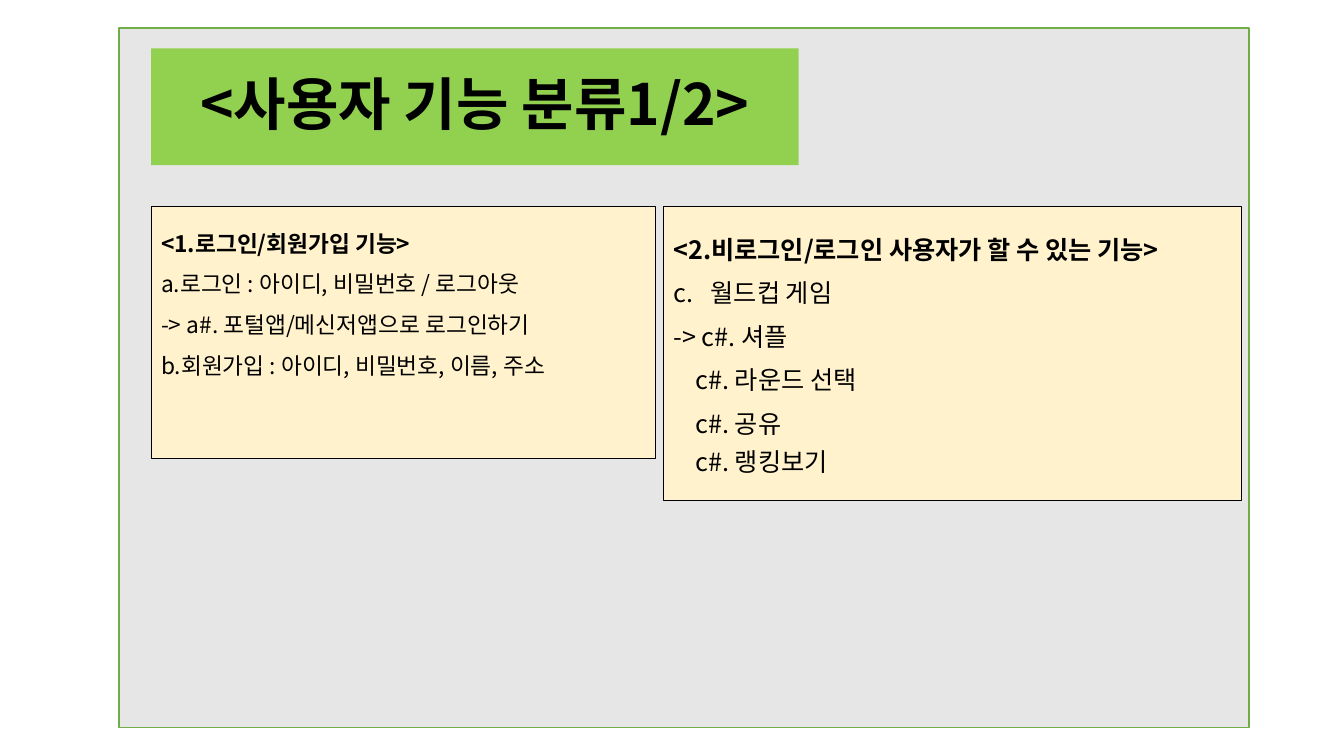
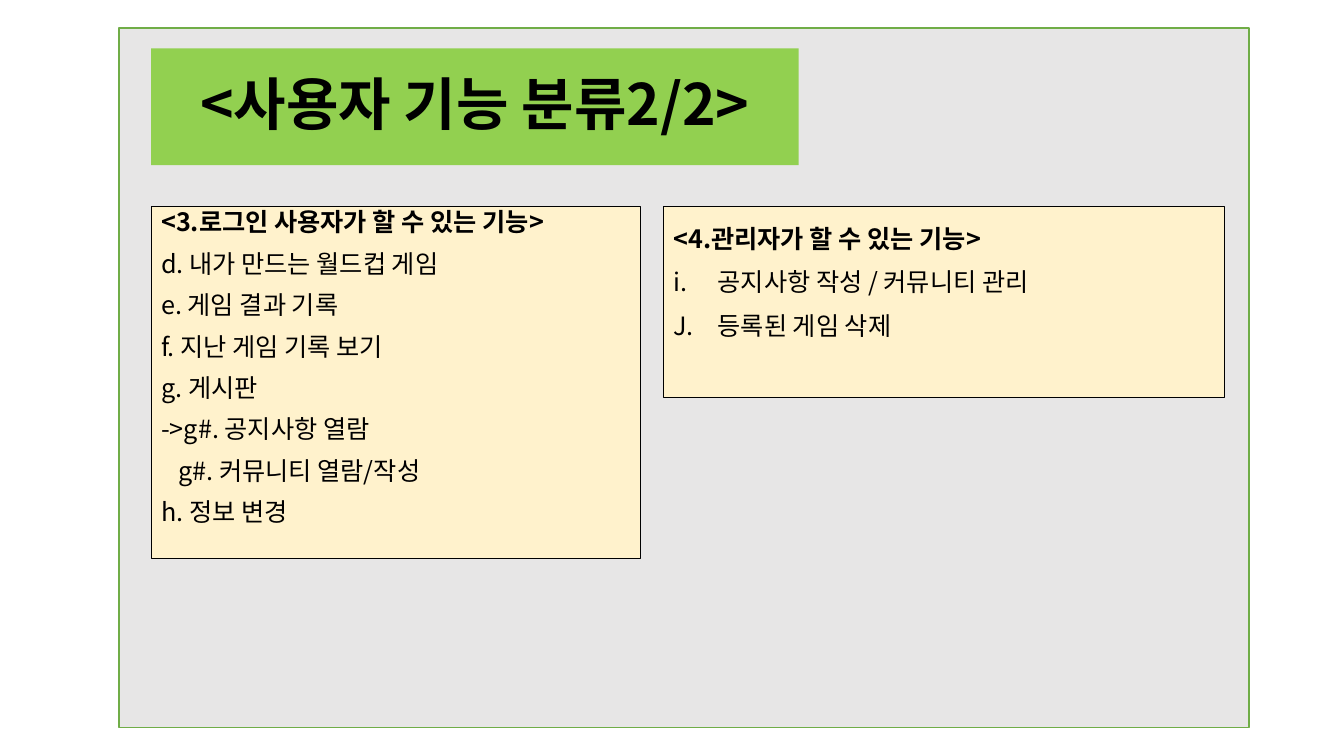
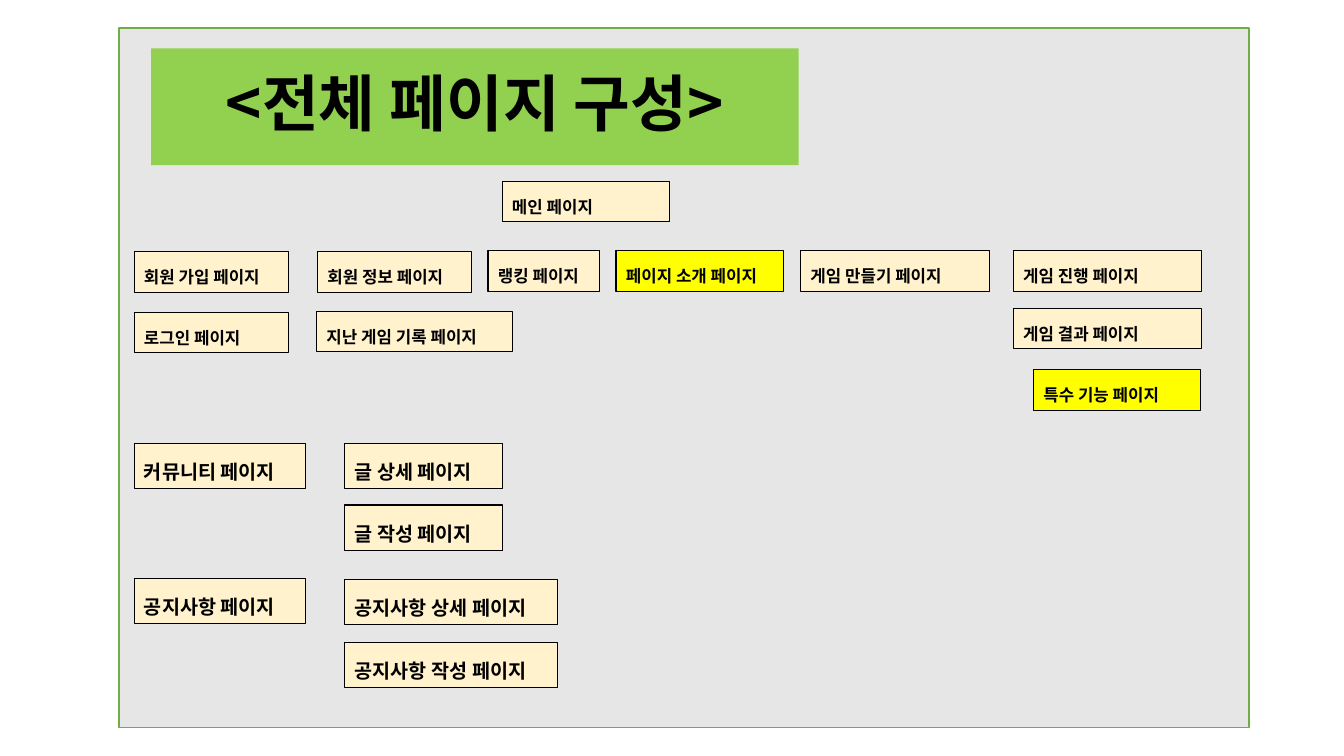
from dataclasses import dataclass

import lxml.etree
import pptx
import pptx.dml.color
import pptx.enum.shapes
import pptx.enum.text
import pptx.oxml.ns
import pptx.util
from pptx.util import Inches

FONT = "Noto Sans CJK KR"
HEX = {
    "panel": "E7E6E6",
    "edge": "70AD47",
    "title": "92D050",
    "cream": "FFF2CC",
    "mark": "FFFF00",
    "ink": "000000",
}
ALIGN = pptx.enum.text.PP_ALIGN
ANCHOR = pptx.enum.text.MSO_ANCHOR


@dataclass
class Line:
    text: str
    indent: float = 0
    hang: float = 0
    space: float | None = None
    number: str = ""
    start: int = 1


@dataclass
class Card:
    left: float
    width: float
    height: float
    inset: float
    size: float
    space: float
    after: float
    head: str
    lines: list[Line]


@dataclass
class Node:
    text: str
    left: float
    top: float
    width: float
    size: int = 12
    fill: str = "cream"


CARD_TOP = 2.05
LEFT, RIGHT = 1.5, 6.58

LOGIN = Card(
    LEFT, 5, 2.5, 0.09, 16.2, 1.5, 0,
    "<1.로그인/회원가입 기능>",
    [
        Line("a.로그인 : 아이디, 비밀번호 / 로그아웃"),
        Line("-> a#. 포털앱/메신저앱으로 로그인하기"),
        Line("b.회원가입 : 아이디, 비밀번호, 이름, 주소"),
    ],
)
GUEST = Card(
    RIGHT, 5.73, 2.92, 0.25, 18, 1.07, 8,
    "<2.비로그인/로그인 사용자가 할 수 있는 기능>",
    [
        Line("c.\t월드컵 게임", 0.37, 0.37),
        Line("-> c#. 셔플"),
        Line("c#. 라운드 선택", 0.22),
        Line("c#. 공유", 0.22),
        Line("c#. 랭킹보기", 0.22, space=0.9),
    ],
)
MEMBER = Card(
    LEFT, 4.85, 3.49, 0, 18, 1, 8,
    "<3.로그인 사용자가 할 수 있는 기능>",
    [
        Line("d. 내가 만드는 월드컵 게임"),
        Line("e. 게임 결과 기록"),
        Line("f. 지난 게임 기록 보기"),
        Line("g. 게시판"),
        Line("->g#. 공지사항 열람"),
        Line("g#. 커뮤니티 열람/작성", 0.17),
        Line("h. 정보 변경"),
    ],
)
ADMIN = Card(
    RIGHT, 5.57, 1.89, 0.14, 18, 1.07, 8,
    "<4.관리자가 할 수 있는 기능>",
    [
        Line("공지사항 작성 / 커뮤니티 관리", 0.44, 0.44, number="romanLcPeriod"),
        Line("등록된 게임 삭제", 0.44, 0.44, number="alphaUcPeriod", start=10),
    ],
)

NODES = [
    Node("메인 페이지", 4.98, 1.8, 1.66),
    Node("회원 가입 페이지", 1.33, 2.5, 1.53),
    Node("로그인 페이지", 1.33, 3.1, 1.53),
    Node("회원 정보 페이지", 3.15, 2.5, 1.53),
    Node("지난 게임 기록 페이지", 3.14, 3.09, 1.94),
    Node("랭킹 페이지", 4.84, 2.49, 1.11),
    Node("페이지 소개 페이지", 6.11, 2.49, 1.66, fill="mark"),
    Node("게임 만들기 페이지", 7.94, 2.49, 1.87),
    Node("게임 진행 페이지", 10.05, 2.49, 1.87),
    Node("게임 결과 페이지", 10.05, 3.06, 1.87),
    Node("특수 기능 페이지", 10.25, 3.67, 1.66, fill="mark"),
    Node("커뮤니티 페이지", 1.33, 4.4, 1.7, 14),
    Node("글 상세 페이지", 3.42, 4.4, 1.56, 14),
    Node("글 작성 페이지", 3.42, 5.01, 1.56, 14),
    Node("공지사항 페이지", 1.33, 5.74, 1.7, 14),
    Node("공지사항 상세 페이지", 3.42, 5.75, 2.11, 14),
    Node("공지사항 작성 페이지", 3.42, 6.37, 2.11, 14),
]


def paint(name: str) -> pptx.dml.color.RGBColor:
    return pptx.dml.color.RGBColor.from_string(HEX[name])


def add_box(slide, left: float, top: float, width: float, height: float,
            fill: str, edge: str = "", weight: float = 0.75,
            inset: float = 0.05, anchor=ANCHOR.TOP):
    """Draw a flat rectangle and return it, ready for text."""
    box = slide.shapes.add_shape(
        pptx.enum.shapes.MSO_SHAPE.RECTANGLE,
        Inches(left), Inches(top), Inches(width), Inches(height))
    box.shadow.inherit = False
    box.fill.solid()
    box.fill.fore_color.rgb = paint(fill)
    if edge:
        box.line.color.rgb = paint(edge)
        box.line.width = pptx.util.Pt(weight)
    else:
        box.line.fill.background()
    frame = box.text_frame
    frame.word_wrap = True
    frame.vertical_anchor = anchor
    frame.margin_top = Inches(inset)
    return box


def add_text(box, text: str, *, size: float, bold: bool = True,
             align=ALIGN.LEFT, space: float = 1, after: float = 0):
    """Write one paragraph, using the first one while it is empty."""
    frame = box.text_frame
    para = frame.paragraphs[0]
    if para.runs:
        para = frame.add_paragraph()
    para.alignment = align
    para.line_spacing = float(space)
    para.space_after = pptx.util.Pt(after)
    run = para.add_run()
    run.text = text
    font = run.font
    font.name = FONT
    font.size = pptx.util.Pt(size)
    font.bold = bold
    font.color.rgb = paint("ink")
    east = lxml.etree.SubElement(
        run._r.get_or_add_rPr(), pptx.oxml.ns.qn("a:ea"))
    east.set("typeface", FONT)
    return para


def set_indent(para, line: Line) -> None:
    props = para._p.get_or_add_pPr()
    props.set("marL", str(Inches(line.indent)))
    props.set("indent", str(-Inches(line.hang)))
    if line.number:
        mark = lxml.etree.SubElement(
            props, pptx.oxml.ns.qn("a:buAutoNum"), type=line.number)
        if line.start > 1:
            mark.set("startAt", str(line.start))


def add_page(deck, title: str, size: float = 40.7):
    """Add a slide with the grey panel and the green title band."""
    slide = deck.slides.add_slide(deck.slide_layouts[6])
    add_box(slide, 1.18, 0.28, 11.21, 6.94, "panel", "edge", 1)
    band = add_box(slide, LEFT, 0.48, 6.42, 1.16, "title",
                   anchor=ANCHOR.MIDDLE)
    add_text(band, title, size=size, align=ALIGN.CENTER, space=0.9)
    return slide


def add_card(slide, card: Card) -> None:
    box = add_box(slide, card.left, CARD_TOP, card.width, card.height,
                  "cream", "ink", inset=card.inset)
    add_text(box, card.head, size=card.size, space=card.space,
             after=card.after)
    for line in card.lines:
        para = add_text(box, line.text, size=card.size, bold=False,
                        space=line.space or card.space, after=card.after)
        set_indent(para, line)


def add_node(slide, node: Node) -> None:
    height = 0.4 if node.size == 12 else 0.45
    box = add_box(slide, node.left, node.top, node.width, height,
                  node.fill, "ink")
    add_text(box, node.text, size=node.size, space=1.5)


def main() -> None:
    deck = pptx.Presentation()
    deck.slide_width = Inches(13.33)
    deck.slide_height = Inches(7.5)
    for page, cards in enumerate([(LOGIN, GUEST), (MEMBER, ADMIN)], 1):
        slide = add_page(deck, f"<사용자 기능 분류{page}/2>")
        for card in cards:
            add_card(slide, card)
    slide = add_page(deck, "<전체 페이지 구성>", 44)
    for node in NODES:
        add_node(slide, node)
    deck.save("out.pptx")


if __name__ == "__main__":
    main()
